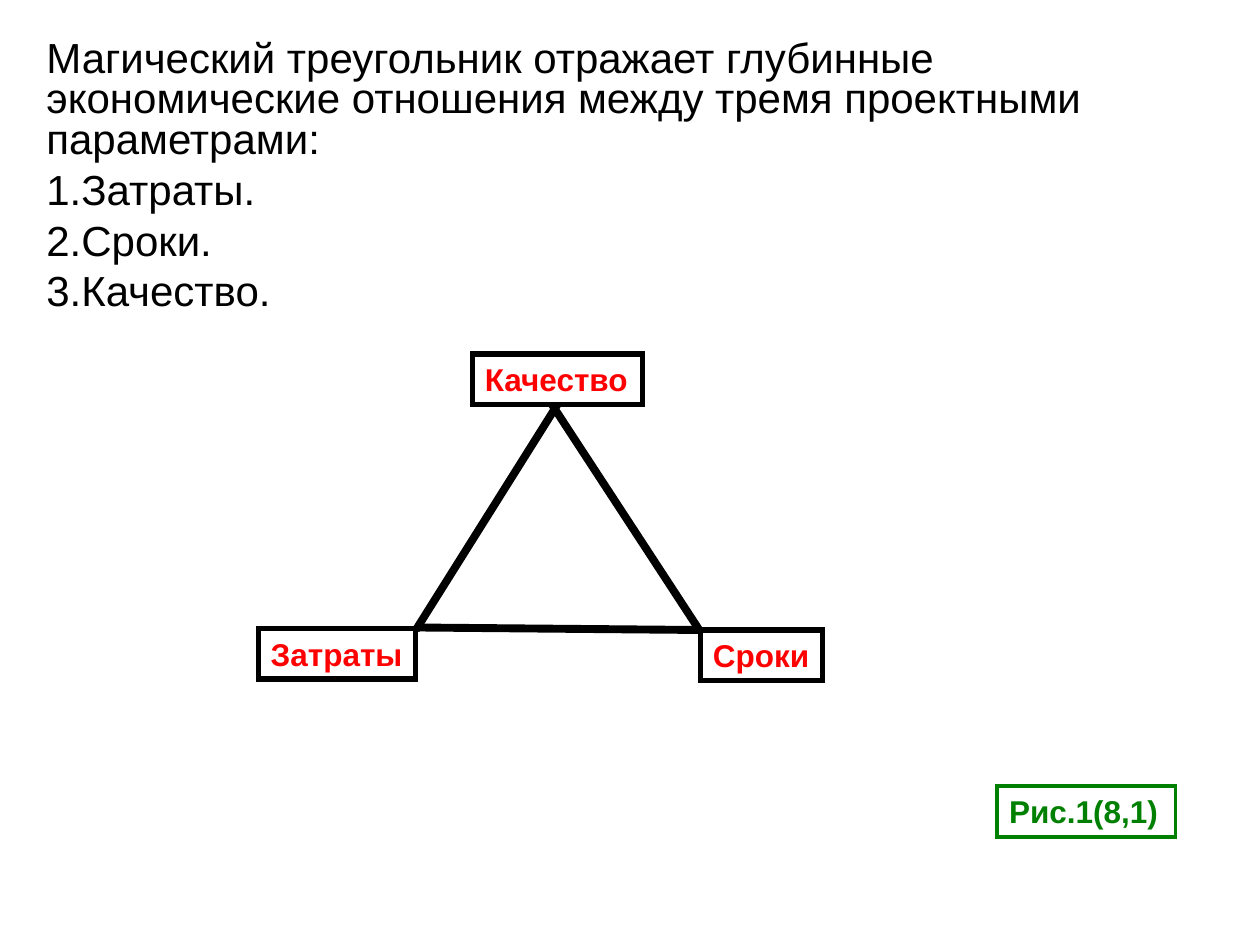
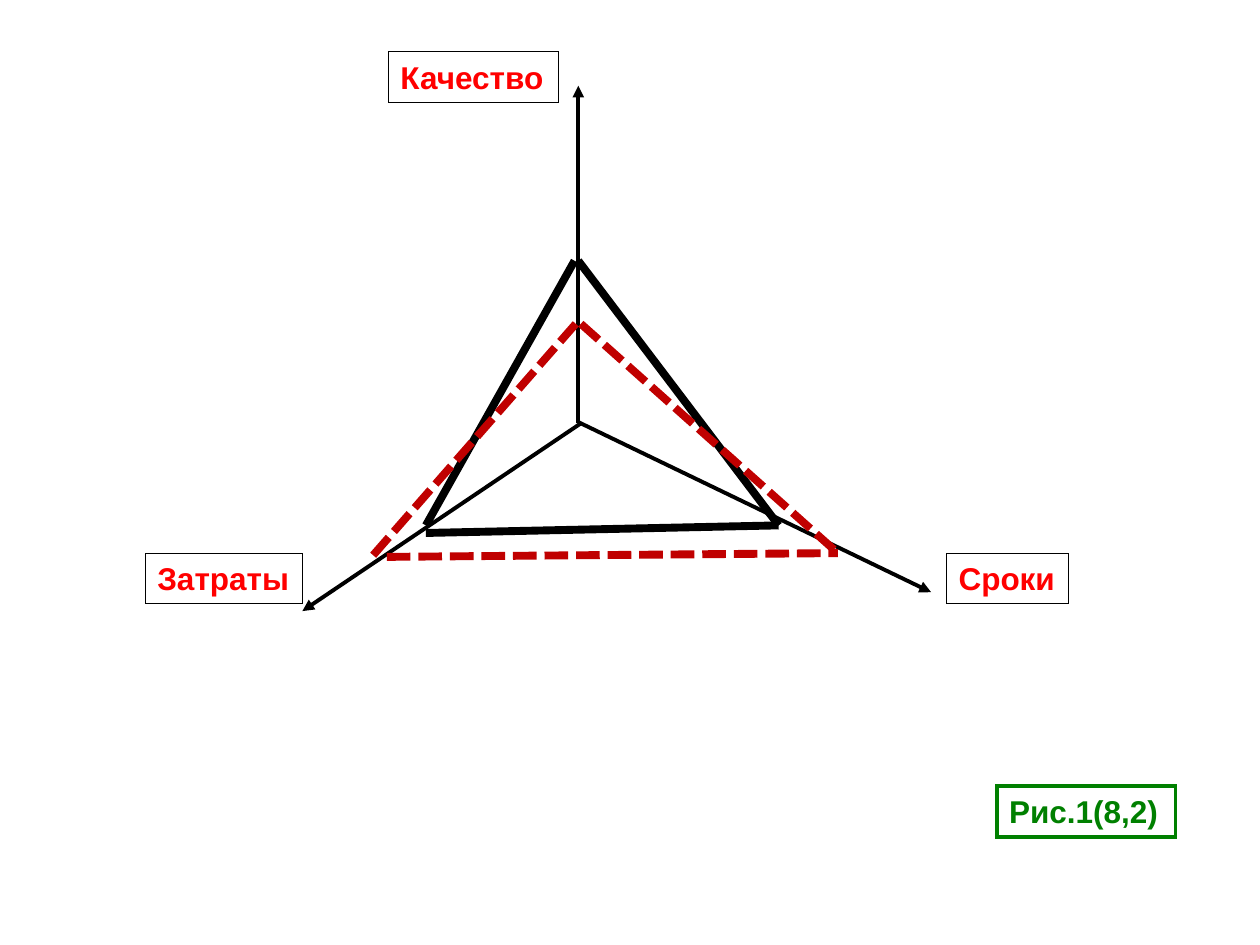
from lxml import etree
from pptx import Presentation
from pptx.dml.color import RGBColor
from pptx.enum.dml import MSO_LINE
from pptx.enum.shapes import MSO_CONNECTOR, MSO_SHAPE
from pptx.enum.text import MSO_ANCHOR, MSO_AUTO_SIZE, PP_ALIGN
from pptx.oxml.ns import qn
from pptx.util import Inches, Pt

COLORS = {"ink": "000000", "parameter": "FF0000", "caption": "008000", "shifted": "C00000"}
FONT = "Arial"
RECTANGLE = MSO_SHAPE.RECTANGLE
STRAIGHT = MSO_CONNECTOR.STRAIGHT
SHORT_DASH = MSO_LINE.SQUARE_DOT
FIT_SHAPE = MSO_AUTO_SIZE.SHAPE_TO_FIT_TEXT
TOP = MSO_ANCHOR.TOP
LEFT = PP_ALIGN.LEFT
BOTTOM_SIDE = 2
LABEL_HEIGHT = 0.4
LABEL_WIDTHS = {"Качество": 1.35, "Сроки": 0.97, "Затраты": 1.25}


def rgb(color):
    return RGBColor.from_string(COLORS[color])


def write(paragraph, text, size=18, color="ink", bold=False):
    paragraph.alignment = LEFT
    run = paragraph.add_run()
    run.text = text
    run.font.name = FONT
    run.font.size = Pt(size)
    run.font.bold = bold
    run.font.color.rgb = rgb(color)


def number(paragraph):
    """Give the paragraph an automatic number such as 1. without a hanging indent."""
    properties = paragraph._p.get_or_add_pPr()
    properties.set("marL", "0")
    properties.set("indent", "0")
    etree.SubElement(properties, qn("a:buAutoNum"), type="arabicPeriod")


def add_introduction(slide, statement, parameters):
    box = slide.shapes.add_textbox(Inches(0.27), Inches(0.28), Inches(9.53), Inches(2.36))
    frame = box.text_frame
    frame.word_wrap = True
    for index, text in enumerate([statement, *parameters]):
        paragraph = frame.paragraphs[0] if index == 0 else frame.add_paragraph()
        paragraph.line_spacing = 0.8
        paragraph.space_before = Pt(6)
        if index:
            number(paragraph)
        write(paragraph, text, size=24)


def add_frame(slide, text, left, top, width, color, border, weight, right_inset=0.1):
    """Add an unfilled, sharp-cornered rectangle with bold text."""
    frame = slide.shapes.add_shape(
        RECTANGLE, Inches(left), Inches(top), Inches(width), Inches(LABEL_HEIGHT))
    frame.shadow.inherit = False
    frame.fill.background()
    frame.line.color.rgb = rgb(border)
    frame.line.width = Pt(weight)
    etree.SubElement(frame.get_or_add_ln(), qn("a:miter"), lim="800000")
    frame.text_frame.word_wrap = True
    frame.text_frame.auto_size = FIT_SHAPE
    frame.text_frame.vertical_anchor = TOP
    frame.text_frame.margin_right = Inches(right_inset)
    write(frame.text_frame.paragraphs[0], text, color=color, bold=True)
    return frame


def add_parameter(slide, text, left, top, weight):
    return add_frame(slide, text, left, top, LABEL_WIDTHS[text], "parameter", "ink", weight,
                     right_inset=0.03)


def add_caption(slide, text):
    add_frame(slide, text, 7.91, 6.24, 1.42, "caption", "caption", 2.25)


def add_line(slide, start, end, color="ink", weight=4.5, dash=None, arrow=False):
    line = slide.shapes.add_connector(STRAIGHT, *map(Inches, (*start, *end)))
    line.line.color.rgb = rgb(color)
    line.line.width = Pt(weight)
    if dash is not None:
        line.line.dash_style = dash
    if arrow:
        etree.SubElement(line.get_or_add_ln(), qn("a:tailEnd"), type="triangle")
    etree.SubElement(line._element.spPr, qn("a:effectLst"))
    return line


def build_magic_triangle(slide):
    add_introduction(
        slide,
        "Магический треугольник отражает глубинные экономические отношения "
        "между тремя проектными параметрами:",
        ["Затраты.", "Сроки.", "Качество."])
    quality = add_parameter(slide, "Качество", 3.75, 2.81, 3)
    add_parameter(slide, "Сроки", 5.56, 5, 3)
    add_parameter(slide, "Затраты", 2.05, 4.99, 3)

    add_line(slide, (4.38, 3.21), (5.55, 5))
    add_line(slide, (3.3, 4.98), (5.55, 5))
    cost_side = add_line(slide, (4.42, 3.21), (3.3, 5))
    cost_side.begin_connect(quality, BOTTOM_SIDE)
    add_caption(slide, "Рис.1(8,1)")


def build_parameter_axes(slide):
    add_parameter(slide, "Качество", 3.08, 0.41, 0.25)
    add_parameter(slide, "Сроки", 7.51, 4.39, 0.25)
    add_parameter(slide, "Затраты", 1.15, 4.39, 0.25)

    initial_sides = [((4.59, 2.07), (6.18, 4.17)),
                     ((3.38, 4.23), (6.18, 4.17)),
                     ((4.56, 2.07), (3.38, 4.17))]
    axes = [((4.61, 3.36), (2.4, 4.85)),
            ((4.59, 3.35), (7.39, 4.7)),
            ((4.59, 3.36), (4.59, 0.68))]
    shifted_sides = [((4.61, 2.57), (6.65, 4.39)),
                     ((3.07, 4.42), (6.65, 4.39)),
                     ((4.57, 2.57), (2.95, 4.42))]

    for start, end in initial_sides:
        add_line(slide, start, end)
    add_caption(slide, "Рис.1(8,2)")
    for start, end in axes:
        add_line(slide, start, end, weight=2.25, arrow=True)
    for start, end in shifted_sides:
        add_line(slide, start, end, color="shifted", dash=SHORT_DASH)


def main():
    presentation = Presentation()
    presentation.slide_width = Inches(10)
    presentation.slide_height = Inches(7.5)
    blank = presentation.slide_layouts[6]
    for build in (build_magic_triangle, build_parameter_axes):
        build(presentation.slides.add_slide(blank))
    presentation.save("out.pptx")


if __name__ == "__main__":
    main()
